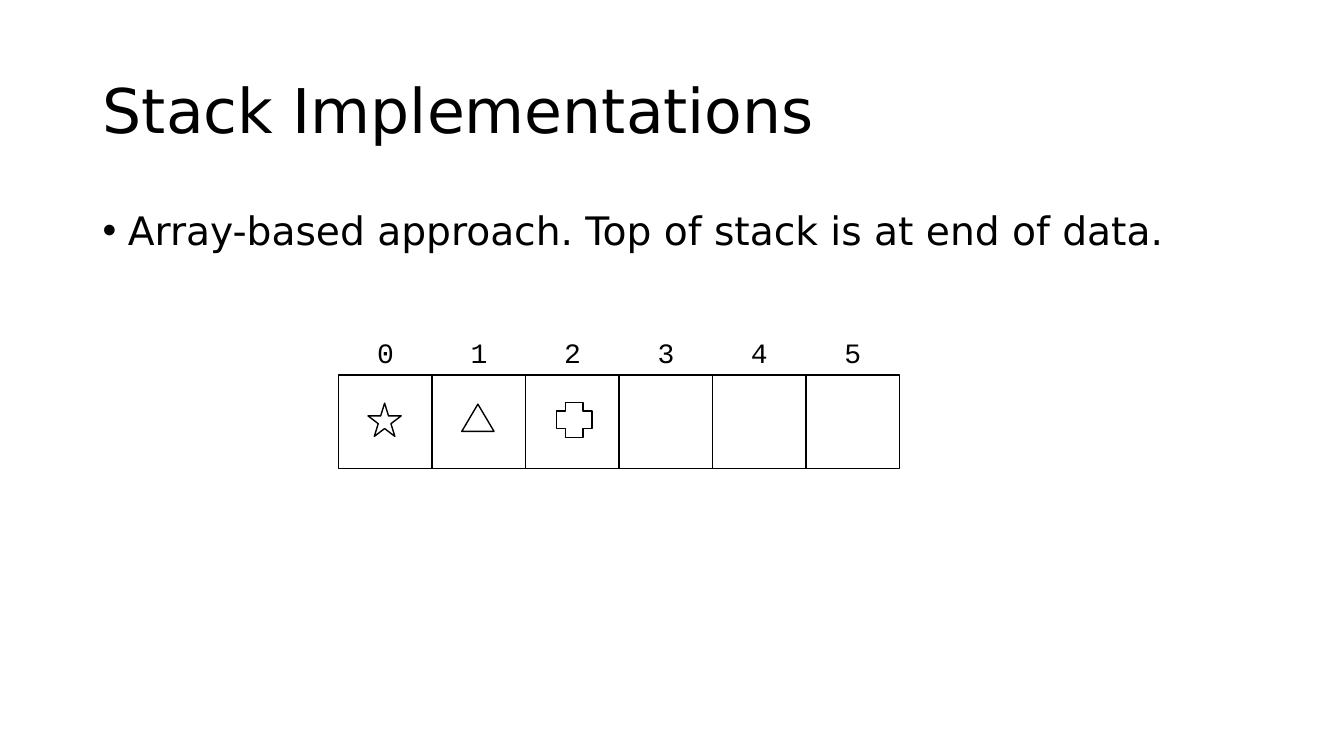
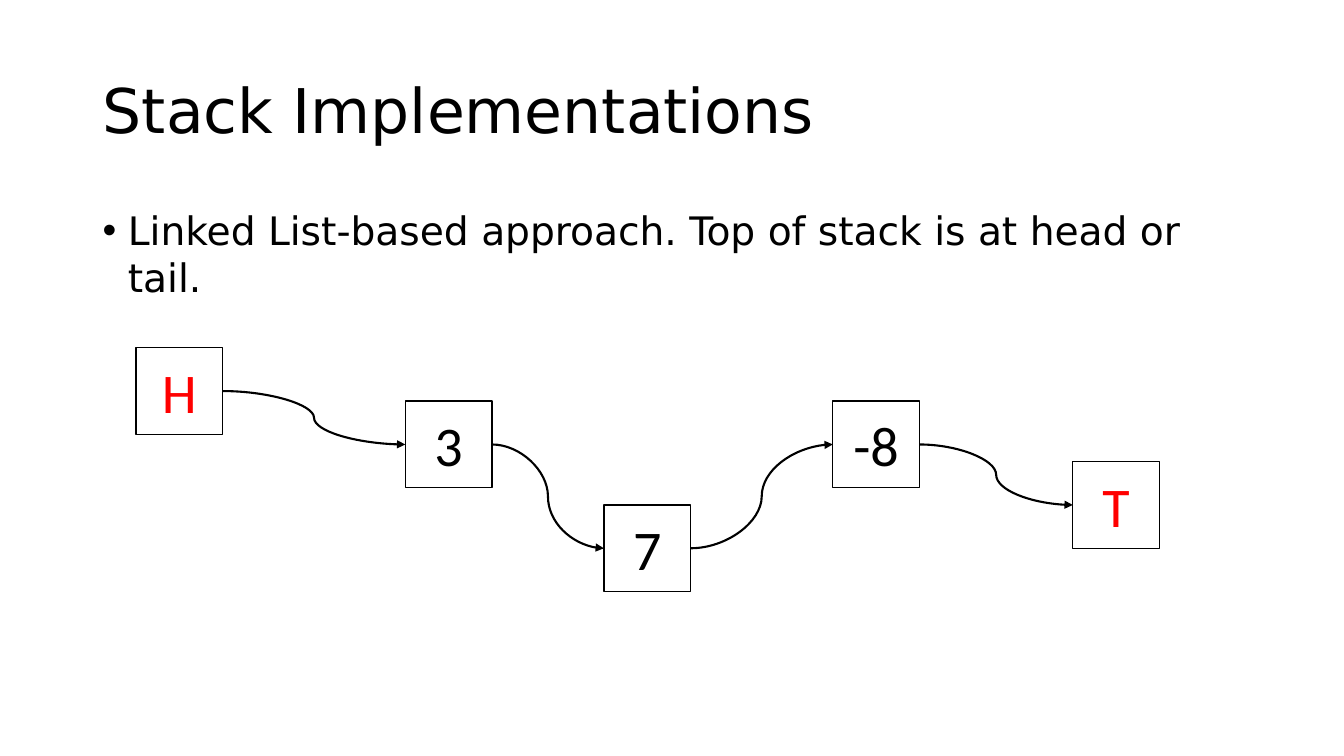
from lxml import etree
from pptx import Presentation
from pptx.dml.color import RGBColor
from pptx.enum.shapes import MSO_CONNECTOR, MSO_SHAPE
from pptx.enum.text import MSO_ANCHOR, MSO_AUTO_SIZE, PP_ALIGN
from pptx.oxml.ns import qn
from pptx.util import Inches, Pt

RECT, STAR = MSO_SHAPE.RECTANGLE, MSO_SHAPE.STAR_5_POINT
TRIANGLE, CROSS = MSO_SHAPE.ISOSCELES_TRIANGLE, MSO_SHAPE.CROSS
CURVE = MSO_CONNECTOR.CURVE
LEFT, CENTER = PP_ALIGN.LEFT, PP_ALIGN.CENTER
TOP, MIDDLE = MSO_ANCHOR.TOP, MSO_ANCHOR.MIDDLE
FIT_SHAPE = MSO_AUTO_SIZE.SHAPE_TO_FIT_TEXT
NO_FIT = MSO_AUTO_SIZE.NONE

BLACK, RED = "000000", "FF0000"
TEXT_FONT, CODE_FONT, NODE_FONT = "DejaVu Sans", "Courier New", "Calibri"
TITLE = "Stack Implementations"
LEFT_SIDE, RIGHT_SIDE = 1, 3

CELL_COUNT = 6
ROW_LEFT, ROW_TOP, ROW_WIDTH = 3.36, 3.72, 5.56
CELL = ROW_WIDTH / CELL_COUNT
INDEX_WIDTH, INDEX_HEIGHT = 0.36, 0.44
SYMBOLS = [
    (STAR, 3.65, 4, 0.33, 0.33),
    (TRIANGLE, 4.58, 4.01, 0.32, 0.27),
    (CROSS, 5.52, 3.99, 0.35, 0.35),
]

NODE = 0.86
NODES = [
    ("H", 1.35, 3.45, RED),
    ("3", 4.02, 3.98, BLACK),
    ("7", 5.99, 5.01, BLACK),
    ("-8", 8.26, 3.98, BLACK),
    ("T", 10.64, 4.58, RED),
]


def rgb(value):
    """Turn a hex string into a colour."""
    return RGBColor.from_string(value)


def write(tf, text, size, font, color=BLACK, align=LEFT, anchor=TOP):
    """Write one formatted run into a text frame and return its paragraph."""
    tf.vertical_anchor = anchor
    p = tf.paragraphs[0]
    p.alignment = align
    r = p.add_run()
    r.text = text
    r.font.size = Pt(size)
    r.font.name = font
    r.font.color.rgb = rgb(color)
    return p


def add_titled_slide(prs, bullet):
    """Add a slide with the shared title and one bullet below it."""
    s = prs.slides.add_slide(prs.slide_layouts[5])
    title = s.shapes.title
    title.left, title.top = Inches(0.92), Inches(0.4)
    title.width, title.height = Inches(11.5), Inches(1.45)
    p = write(title.text_frame, TITLE, 44, TEXT_FONT, anchor=MIDDLE)
    p.line_spacing = 0.9
    add_bullet(s, bullet)
    return s


def add_bullet(s, text):
    """Add the body text with a hanging bullet."""
    box = s.shapes.add_textbox(Inches(0.92), Inches(2), Inches(11.5), Inches(4.76))
    tf = box.text_frame
    tf.word_wrap = True
    tf.auto_size = NO_FIT
    p = write(tf, text, 28, TEXT_FONT)
    p.space_before, p.space_after = Pt(10), Pt(12)
    props = p._p.get_or_add_pPr()
    props.set("marL", str(Inches(0.25)))
    props.set("indent", str(-Inches(0.25)))
    etree.SubElement(props, qn("a:buFont"), typeface="Arial")
    etree.SubElement(props, qn("a:buChar"), char="•")


def add_outline(s, kind, x, y, w, h):
    """Add an unfilled preset shape with a thin black line."""
    sp = s.shapes.add_shape(kind, Inches(x), Inches(y), Inches(w), Inches(h))
    sp.shadow.inherit = False
    sp.fill.background()
    sp.line.color.rgb = rgb(BLACK)
    sp.line.width = Pt(1)
    return sp


def add_index(s, number, center):
    """Add an array index centred above its cell."""
    box = s.shapes.add_textbox(
        Inches(center - INDEX_WIDTH / 2), Inches(ROW_TOP - INDEX_HEIGHT),
        Inches(INDEX_WIDTH), Inches(INDEX_HEIGHT))
    tf = box.text_frame
    tf.word_wrap = False
    tf.auto_size = FIT_SHAPE
    write(tf, str(number), 20, CODE_FONT, align=CENTER)


def add_node(s, text, x, y, color):
    """Add a square list node with its label."""
    sp = add_outline(s, RECT, x, y, NODE, NODE)
    write(sp.text_frame, text, 40, NODE_FONT, color, CENTER, MIDDLE)
    return sp


def add_link(s, source, target):
    """Join two nodes with a curved arrow."""
    link = s.shapes.add_connector(CURVE, 0, 0, 0, 0)
    link.begin_connect(source, RIGHT_SIDE)
    link.end_connect(target, LEFT_SIDE)
    link.line.color.rgb = rgb(BLACK)
    link.line.width = Pt(1.5)
    etree.SubElement(link.line._get_or_add_ln(), qn("a:tailEnd"), type="triangle")
    etree.SubElement(link._element.spPr, qn("a:effectLst"))


def build_array_slide(prs):
    """Show the stack stored in an array."""
    s = add_titled_slide(prs, "Array-based approach. Top of stack is at end of data.")
    for i in range(CELL_COUNT):
        x = ROW_LEFT + i * CELL
        add_outline(s, RECT, x, ROW_TOP, CELL, CELL)
        add_index(s, i, x + CELL / 2)
    for symbol in SYMBOLS:
        add_outline(s, *symbol)


def build_list_slide(prs):
    """Show the stack stored in a linked list."""
    s = add_titled_slide(
        prs, "Linked List-based approach. Top of stack is at head or tail.")
    nodes = [add_node(s, *node) for node in NODES]
    for source, target in zip(nodes, nodes[1:]):
        add_link(s, source, target)


def main():
    """Build and save the presentation."""
    prs = Presentation()
    prs.slide_width, prs.slide_height = Inches(13.33), Inches(7.5)
    build_array_slide(prs)
    build_list_slide(prs)
    prs.save("out.pptx")


if __name__ == "__main__":
    main()
